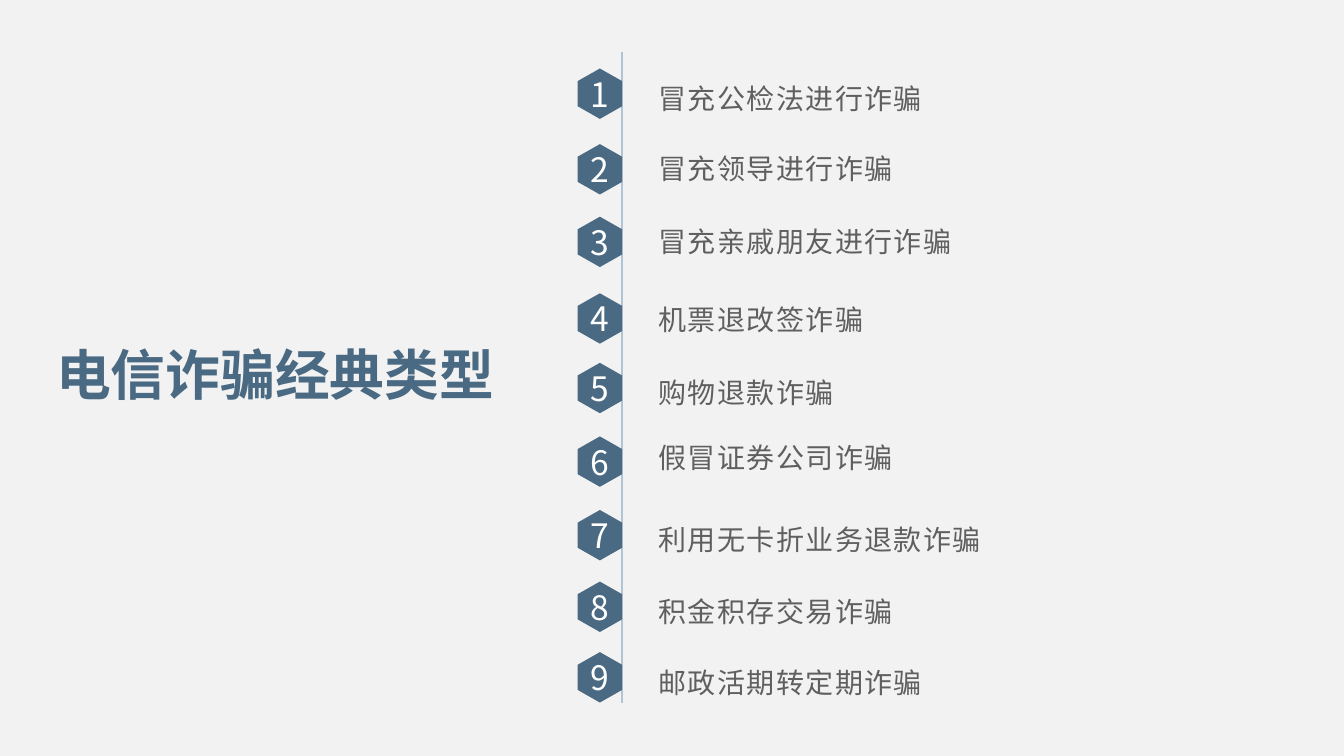
"""Build a slide that lists nine classic types of telecom fraud."""
import pptx
import pptx.util
import pptx.dml.color
import pptx.enum.shapes
import pptx.enum.text
import pptx.oxml.ns
import lxml.etree

Inches = pptx.util.Inches
Pt = pptx.util.Pt
Color = pptx.dml.color.RGBColor
Align = pptx.enum.text.PP_ALIGN
qn = pptx.oxml.ns.qn

BLUE = Color(0x4A, 0x69, 0x82)
PALE = Color(0xB1, 0xC4, 0xD3)
GRAY = Color(0x5F, 0x5F, 0x5F)
WHITE = Color(0xFF, 0xFF, 0xFF)
BACK = Color(0xF2, 0xF2, 0xF2)
FONT = "Noto Sans CJK SC"

AXIS, LEFT, TEXT = 6.17, 5.73, 6.33
WIDE, TALL = 0.44, 0.5
ROWS = [
    ("冒充公检法进行诈骗", 0.68, 0.68),
    ("冒充领导进行诈骗", 1.43, 1.37),
    ("冒充亲戚朋友进行诈骗", 2.15, 2.10),
    ("机票退改签诈骗", 2.91, 2.87),
    ("购物退款诈骗", 3.60, 3.60),
    ("假冒证券公司诈骗", 4.33, 4.24),
    ("利用无卡折业务退款诈骗", 5.06, 5.06),
    ("积金积存交易诈骗", 5.77, 5.77),
    ("邮政活期转定期诈骗", 6.47, 6.47),
]
HEX = [(0.5, 0), (1, 0.25), (1, 0.75), (0.5, 1), (0, 0.75), (0, 0.25)]


def write(shape, text, size, color, align, pads, bold=False, gap=0):
    frame = shape.text_frame
    frame.word_wrap = True
    frame.auto_size = pptx.enum.text.MSO_AUTO_SIZE.NONE
    frame.vertical_anchor = pptx.enum.text.MSO_ANCHOR.MIDDLE
    frame.margin_left, frame.margin_right = map(Inches, pads)
    frame.margin_top = frame.margin_bottom = Inches(0.05)
    para = frame.paragraphs[0]
    para.alignment = align
    run = para.add_run()
    run.text = text
    font = run.font
    font.name, font.size, font.bold = FONT, Pt(size), bold
    font.color.rgb = color
    props = run._r.get_or_add_rPr()
    lxml.etree.SubElement(props, qn("a:ea")).set("typeface", FONT)
    if gap:
        props.set("spc", str(gap * 100))


deck = pptx.Presentation()
deck.slide_width, deck.slide_height = Inches(13.33), Inches(7.5)
slide = deck.slides.add_slide(deck.slide_layouts[5])
slide.background.fill.solid()
slide.background.fill.fore_color.rgb = BACK
shapes = slide.shapes

title = shapes.title
title.left, title.top = Inches(0.38), Inches(2.91)
title.width, title.height = Inches(4.7), Inches(1.59)
write(title, "电信诈骗经典类型", 39.1, BLUE, Align.CENTER, (0.1, 0.1), bold=True)

axis = shapes.add_connector(
    pptx.enum.shapes.MSO_CONNECTOR.STRAIGHT,
    Inches(AXIS), Inches(0.52), Inches(AXIS), Inches(6.97))
axis.line.color.rgb = PALE
axis.line.width = Pt(2)
lxml.etree.SubElement(axis._element.spPr, qn("a:effectLst"))

for num, (name, top, base) in enumerate(ROWS, 1):
    label = shapes.add_textbox(
        Inches(TEXT), Inches(base), Inches(5.57), Inches(0.59))
    write(label, name, 20, GRAY, Align.LEFT, (0.2, 0.1), gap=1)

    dots = [(Inches(LEFT + x * WIDE), Inches(top + y * TALL)) for x, y in HEX]
    pen = shapes.build_freeform(*dots[0])
    pen.add_line_segments(dots[1:], close=True)
    badge = pen.convert_to_shape()
    badge.shadow.inherit = False
    badge.fill.solid()
    badge.fill.fore_color.rgb = BLUE
    badge.line.fill.background()
    write(badge, str(num), 24, WHITE, Align.CENTER, (0, 0))

deck.save("out.pptx")
